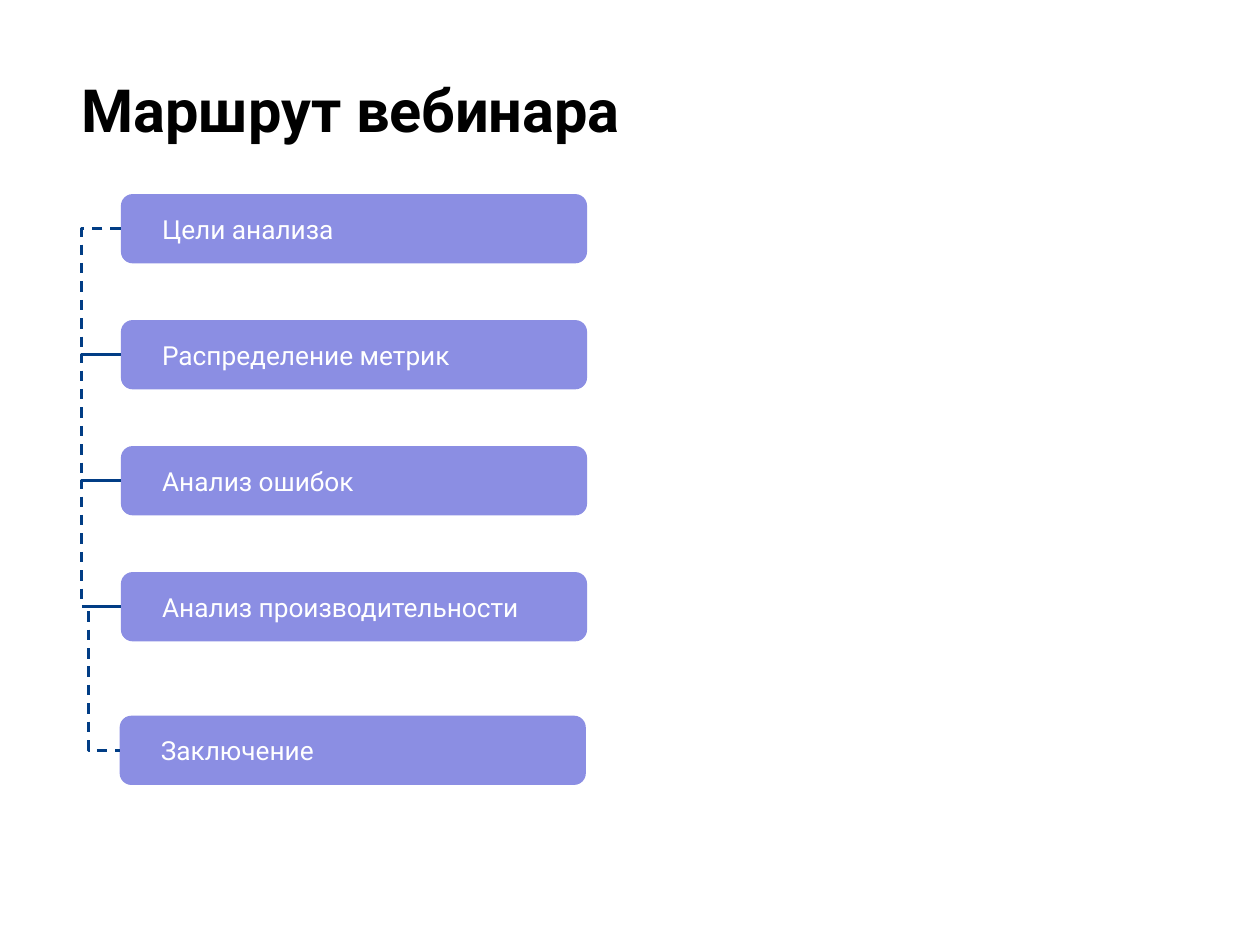
from lxml import etree
from pptx import Presentation
from pptx import util as u
from pptx.dml.color import RGBColor
from pptx.enum import dml, shapes, text
from pptx.oxml.ns import qn

COLORS = {"title": "000000", "step": "8B8EE3", "label": "FFFFFF", "route": "013D85"}
FONT = "Roboto"
STEPS = [
    ("Цели анализа", 0.96, 1.54),
    ("Распределение метрик", 0.96, 2.54),
    ("Анализ ошибок", 0.96, 3.54),
    ("Анализ производительности", 0.96, 4.54),
    ("Заключение", 0.95, 5.68),
]
REACH = u.Inches(0.26)
MIN_WIDTH = u.Emu(600)


def color(name):
    return RGBColor.from_string(COLORS[name])


def add_text(frame, words, size, color_name, bold=False):
    frame.word_wrap = True
    para = frame.paragraphs[0]
    para.alignment = text.PP_ALIGN.LEFT
    span = para.add_run()
    span.text = words
    span.font.name = FONT
    span.font.size = u.Pt(size)
    span.font.bold = bold
    span.font.color.rgb = color(color_name)


def add_title(page, words):
    box = page.shapes.add_textbox(u.Inches(0.55), u.Inches(0.48), u.Inches(9.32), u.Inches(1.43))
    frame = box.text_frame
    frame.margin_left = frame.margin_right = u.Inches(0.1)
    frame.margin_top = frame.margin_bottom = u.Inches(0.1)
    add_text(frame, words, 34, "title", bold=True)


def add_step(page, words, left, top):
    box = page.shapes.add_shape(
        shapes.MSO_SHAPE.ROUNDED_RECTANGLE,
        u.Inches(left), u.Inches(top), u.Inches(3.7), u.Inches(0.55),
    )
    box.adjustments[0] = 0.17
    box.shadow.inherit = False
    box.fill.solid()
    box.fill.fore_color.rgb = color("step")
    box.line.fill.background()
    frame = box.text_frame
    frame.vertical_anchor = text.MSO_ANCHOR.MIDDLE
    frame.margin_left = frame.margin_right = u.Inches(0.3)
    frame.margin_top = frame.margin_bottom = u.Inches(0.1)
    add_text(frame, words, 15, "label")
    return box


def add_route(page, upper, lower):
    route = page.shapes.add_connector(shapes.MSO_CONNECTOR.ELBOW, 0, 0, 0, 0)
    route.begin_connect(upper, 1)
    route.end_connect(lower, 1)
    if route.begin_x == route.end_x:
        route.end_x = route.begin_x + MIN_WIDTH
    route.line.color.rgb = color("route")
    route.line.width = u.Pt(1.5)
    route.line.dash_style = dml.MSO_LINE.DASH
    properties = route._element.spPr
    etree.SubElement(properties, qn("a:effectLst"))
    bend = round(-REACH / (route.end_x - route.begin_x) * 100000)
    guides = properties.find(qn("a:prstGeom")).get_or_add_avLst()
    etree.SubElement(guides, qn("a:gd"), name="adj1", fmla=f"val {bend}")


def main():
    deck = Presentation()
    deck.slide_width = u.Inches(10)
    deck.slide_height = u.Inches(7.5)
    page = deck.slides.add_slide(deck.slide_layouts[6])
    add_title(page, "Маршрут вебинара")
    boxes = [add_step(page, *step) for step in STEPS]
    for upper, lower in zip(boxes, boxes[1:]):
        add_route(page, upper, lower)
    deck.save("out.pptx")


if __name__ == "__main__":
    main()
